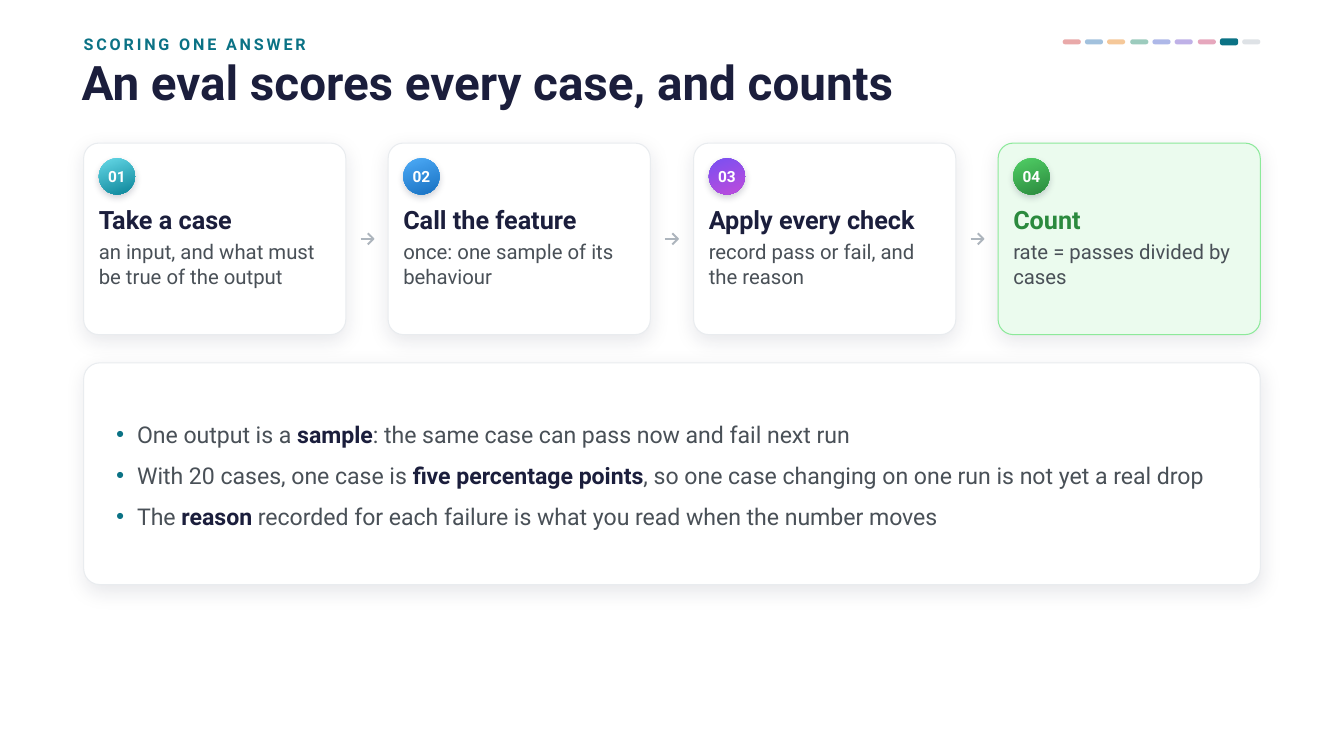
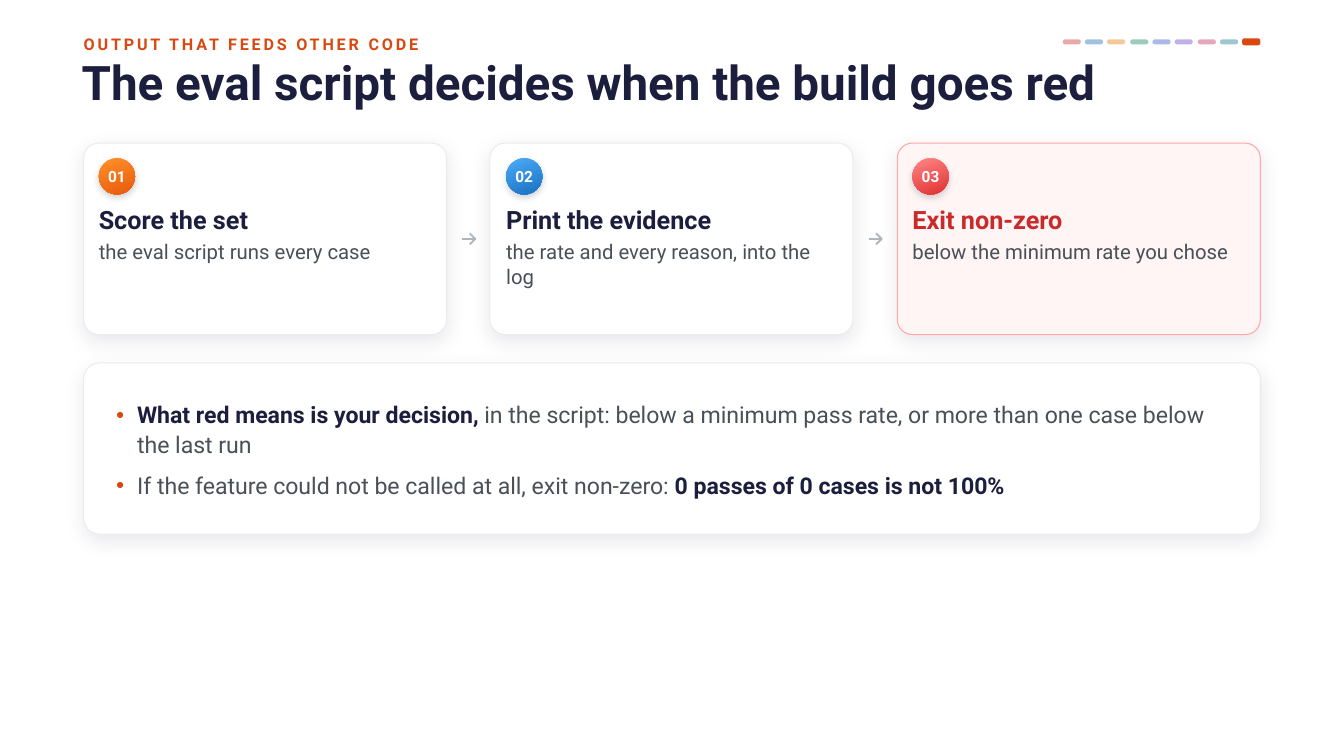
from dataclasses import dataclass

from lxml.etree import SubElement
from pptx import Presentation
from pptx.dml.color import RGBColor
from pptx.enum.shapes import MSO_SHAPE as SHAPE
from pptx.enum.text import MSO_ANCHOR as ANCHOR, MSO_AUTO_SIZE as AUTO, PP_ALIGN as ALIGN
from pptx.oxml.ns import qn
from pptx.util import Emu, Pt

# Shared look
PX = 9144  # EMU per px, 100 px to the inch
FONT = "Roboto"
INK, GREY, WHITE = "1B1E3C", "495057", "FFFFFF"
BORDER, ARROW, PENDING = "E9ECEF", "ADB5BD", "DEE2E6"
PROGRESS = ("C92A2A", "1864AB", "E67700", "087F5B", "364FC7",
            "5F3DC4", "C2255C", "0B7285", "D9480F")
LEFT, WIDTH = 83, 1167
CARD_TOP, CARD_H, PAD = 142, 190, 15
PANEL_TOP = 360
ICON = 22  # arrow box, drawn on a grid of 24 units


@dataclass(frozen=True)
class Step:
    title: str
    detail: str
    gradient: tuple[str, str]
    fill: str = WHITE
    border: str = BORDER
    title_color: str = INK


@dataclass(frozen=True)
class Page:
    section: int
    kicker: str
    title: str
    card_width: int
    steps: tuple[Step, ...]
    panel_height: int
    bullets: tuple[str, ...]  # ** surrounds strong words


PAGES = (
    Page(7, "SCORING ONE ANSWER", "An eval scores every case, and counts", 260, (
        Step("Take a case", "an input, and what must be true of the output",
             ("66D9E8", "0C8599")),
        Step("Call the feature", "once: one sample of its behaviour",
             ("4DABF7", "1971C2")),
        Step("Apply every check", "record pass or fail, and the reason",
             ("7950F2", "BE4BDB")),
        Step("Count", "rate = passes divided by cases",
             ("51CF66", "2B8A3E"), "EBFBEE", "8CE99A", "2B8A3E"),
    ), 220, (
        "One output is a **sample**: the same case can pass now and fail next run",
        "With 20 cases, one case is **five percentage points**, "
        "so one case changing on one run is not yet a real drop",
        "The **reason** recorded for each failure is what you read when the number moves",
    )),
    Page(8, "OUTPUT THAT FEEDS OTHER CODE",
         "The eval script decides when the build goes red", 360, (
             Step("Score the set", "the eval script runs every case",
                  ("FF922B", "E8590C")),
             Step("Print the evidence", "the rate and every reason, into the log",
                  ("4DABF7", "1971C2")),
             Step("Exit non-zero", "below the minimum rate you chose",
                  ("FF8787", "E03131"), "FFF5F5", "FFA8A8", "C92A2A"),
         ), 170, (
             "**What red means is your decision,** in the script: below a minimum "
             "pass rate, or more than one case below the last run",
             "If the feature could not be called at all, exit non-zero: "
             "**0 passes of 0 cases is not 100%**",
         )),
)


# Helpers
def px(n: float) -> Emu:
    return Emu(round(n) * PX)


def rgb(color: str) -> RGBColor:
    return RGBColor.from_string(color)


def place(sp, x: float, y: float, w: float, h: float) -> None:
    sp.left, sp.top, sp.width, sp.height = px(x), px(y), px(w), px(h)


def set_frame(tf, anchor=ANCHOR.MIDDLE, wrap: bool = True) -> None:
    tf.auto_size = AUTO.NONE
    tf.word_wrap = wrap
    tf.vertical_anchor = anchor
    tf.margin_left = tf.margin_top = tf.margin_right = tf.margin_bottom = 0


def style(r, size: float, color: str, bold: bool = True) -> None:
    r.font.name = FONT
    r.font.size = Pt(size)
    r.font.bold = bold
    r.font.color.rgb = rgb(color)


def add_shape(s, kind, x: float, y: float, w: float, h: float):
    sp = s.shapes.add_shape(kind, px(x), px(y), px(w), px(h))
    sp.shadow.inherit = False
    sp.line.fill.background()
    return sp


def set_fill(sp, color: str, alpha: int = 100) -> None:
    sp.fill.solid()
    sp.fill.fore_color.rgb = rgb(color)
    if alpha < 100:
        clr = sp.element.spPr.find(qn("a:solidFill"))[0]
        SubElement(clr, qn("a:alpha"), val=str(alpha * 1000))


def set_shadow(sp, alpha: int, blur: int, dist: int) -> None:
    effects = sp.element.spPr.find(qn("a:effectLst"))
    shadow = SubElement(effects, qn("a:outerShdw"), blurRad=str(Pt(blur)),
                        dist=str(Pt(dist)), dir="5400000", algn="ctr",
                        rotWithShape="0")
    clr = SubElement(shadow, qn("a:srgbClr"), val=INK)
    SubElement(clr, qn("a:alpha"), val=str(alpha * 1000))


def set_bullet(p, color: str) -> None:
    pPr = p._p.get_or_add_pPr()
    pPr.set("marL", str(px(21)))
    pPr.set("indent", str(-px(21)))
    SubElement(SubElement(pPr, qn("a:buClr")), qn("a:srgbClr"), val=color)
    SubElement(pPr, qn("a:buSzPct"), val="62000")
    SubElement(pPr, qn("a:buChar"), char="●")


# Slide parts
def add_header(s, page: Page) -> None:
    title = s.shapes.title
    place(title, 81, 54, 1169, 60)
    title.text_frame.text = page.title
    set_frame(title.text_frame)
    p = title.text_frame.paragraphs[0]
    p.alignment = ALIGN.LEFT
    p.line_spacing = 0.9
    style(p.runs[0], 34, INK)

    kicker = s.shapes.add_textbox(px(LEFT), px(32), px(903), px(24))
    kicker.text_frame.text = page.kicker
    set_frame(kicker.text_frame, wrap=False)
    r = kicker.text_frame.paragraphs[0].runs[0]
    style(r, 11.5, PROGRESS[page.section])
    r.font._element.set("spc", "200")


def add_progress(s, section: int) -> None:
    for i, color in enumerate(PROGRESS):
        x = 1054 + i * 22.25
        active = i == section
        y, h = (38, 7) if active else (39, 5)
        dash = add_shape(s, SHAPE.ROUNDED_RECTANGLE, x, y, 18, h)
        dash.adjustments[0] = 0.35 if active else 0.5
        if i > section:
            set_fill(dash, PENDING)
        else:
            set_fill(dash, color, 100 if active else 40)


def add_card(s, x: float, y: float, w: float, h: float, radius: int,
             fill: str = WHITE, border: str = BORDER) -> None:
    card = add_shape(s, SHAPE.ROUNDED_RECTANGLE, x, y, w, h)
    card.adjustments[0] = radius / min(w, h)
    set_fill(card, fill)
    card.line.color.rgb = rgb(border)
    card.line.width = Pt(0.75)
    set_shadow(card, 10, 14, 4)


def add_step(s, number: int, step: Step, x: float, w: int) -> None:
    add_card(s, x, CARD_TOP, w, CARD_H, 15, step.fill, step.border)

    # Number badge
    badge = add_shape(s, SHAPE.OVAL, x + PAD, CARD_TOP + PAD, 36, 36)
    badge.fill.gradient()
    badge.fill.gradient_angle = 290
    for stop, color in zip(badge.fill.gradient_stops, step.gradient):
        stop.color.rgb = rgb(color)
    set_shadow(badge, 20, 5, 2)
    badge.text_frame.text = f"{number:02}"
    set_frame(badge.text_frame, wrap=False)
    p = badge.text_frame.paragraphs[0]
    p.alignment = ALIGN.CENTER
    style(p.runs[0], 11, WHITE)

    # Heading and detail
    box = s.shapes.add_textbox(px(x + PAD), px(CARD_TOP + 60), px(w - 2 * PAD), px(118))
    tf = box.text_frame
    tf.text = f"{step.title}\n{step.detail}"
    set_frame(tf, ANCHOR.TOP)
    heading, detail = tf.paragraphs
    heading.line_spacing = detail.line_spacing = 1.02
    detail.space_before = Pt(3)
    style(heading.runs[0], 18, step.title_color)
    style(detail.runs[0], 14.5, GREY, False)


def add_arrow(s, center: float) -> None:
    fb = s.shapes.build_freeform(5, 12, scale=PX * ICON / 24)
    fb.add_line_segments([(19, 12)], close=False)
    fb.move_to(13, 6)
    fb.add_line_segments([(19, 12), (13, 18)], close=False)
    arrow = fb.convert_to_shape(px(center - ICON / 2),
                                px(CARD_TOP + CARD_H / 2 - ICON / 2))
    arrow.shadow.inherit = False
    arrow.fill.background()
    arrow.line.color.rgb = rgb(ARROW)
    arrow.line.width = Pt(1.32)


def add_steps(s, page: Page) -> None:
    w, count = page.card_width, len(page.steps)
    gap = (WIDTH - count * w) / (count - 1)
    for i, step in enumerate(page.steps):
        x = LEFT + i * (w + gap)
        add_step(s, i + 1, step, x, w)
        if i < count - 1:
            add_arrow(s, x + w + gap / 2)


def add_panel(s, page: Page) -> None:
    add_card(s, LEFT, PANEL_TOP, WIDTH, page.panel_height, 16)
    body = s.placeholders[1]
    s.shapes.element.append(body.element)  # bring in front of the panel
    place(body, 115, PANEL_TOP + 10, 1110, page.panel_height - 20)
    tf = body.text_frame
    set_frame(tf)
    for i, bullet in enumerate(page.bullets):
        p = tf.add_paragraph() if i else tf.paragraphs[0]
        set_bullet(p, PROGRESS[page.section])
        p.line_spacing = 1.08
        p.space_before = Pt(8 if i else 0)
        for j, part in enumerate(bullet.split("**")):
            if part:
                r = p.add_run()
                r.text = part
                strong = j % 2 == 1
                style(r, 16.5, INK if strong else GREY, strong)


def main() -> None:
    prs = Presentation()
    prs.slide_width, prs.slide_height = px(1333), px(750)
    for page in PAGES:
        s = prs.slides.add_slide(prs.slide_layouts[1])
        add_header(s, page)
        add_progress(s, page.section)
        add_steps(s, page)
        add_panel(s, page)
    prs.save("out.pptx")


if __name__ == "__main__":
    main()
